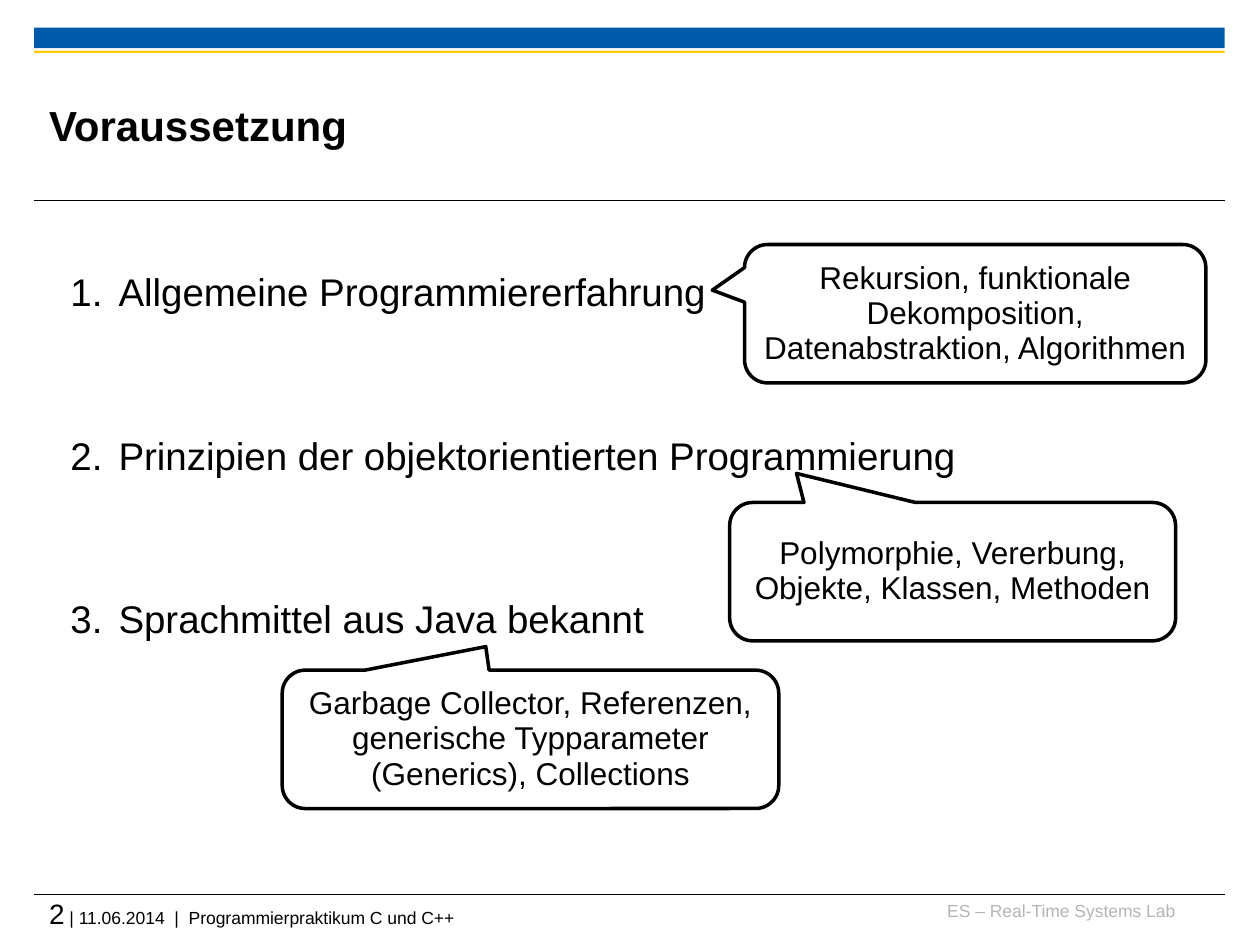
from lxml import etree
from pptx import Presentation
from pptx.dml.color import RGBColor
from pptx.enum.shapes import MSO_CONNECTOR, MSO_SHAPE
from pptx.enum.text import MSO_ANCHOR, PP_ALIGN
from pptx.oxml.ns import qn
from pptx.util import Cm, Pt

STRAIGHT = MSO_CONNECTOR.STRAIGHT
RECTANGLE = MSO_SHAPE.RECTANGLE
CALLOUT = MSO_SHAPE.ROUNDED_RECTANGULAR_CALLOUT
TOP, MIDDLE = MSO_ANCHOR.TOP, MSO_ANCHOR.MIDDLE
LEFT, CENTER, RIGHT = PP_ALIGN.LEFT, PP_ALIGN.CENTER, PP_ALIGN.RIGHT

COLORS = {"text": "000000", "paper": "FFFFFF", "blue": "005AA9",
          "yellow": "FDCA00", "muted": "B5B5B5"}
FONT = "Arial"
MARGIN, CONTENT_WIDTH = 0.69, 24
CALLOUT_HEIGHT = 2.79

TITLE = "Voraussetzung"
REQUIREMENTS = [
    "Allgemeine Programmiererfahrung",
    "Prinzipien der objektorientierten Programmierung",
    "Sprachmittel aus Java bekannt",
]
CALLOUTS = [
    ("Polymorphie, Vererbung, Objekte, Klassen, Methoden",
     14.71, 10.13, 8.99, (-0.35, -0.71)),
    ("Garbage Collector, Referenzen, generische Typparameter (Generics), Collections",
     5.69, 13.51, 10.01, (-0.09, -0.67)),
    ("Rekursion, funktionale Dekomposition, Datenabstraktion, Algorithmen",
     15.01, 4.93, 9.3, (-0.57, -0.17)),
]
LAB = "ES – Real-Time Systems Lab"
PAGE_NUMBER = "2"
FOOTER = " | 11.06.2014  |  Programmierpraktikum C und C++"
BARS = [("blue", 0.56, 0.41), ("yellow", 1.02, 0.05)]
RULES = [4.04, 18.03]


def color(name):
    return RGBColor.from_string(COLORS[name])


def style(run, size, tone="text", bold=False):
    run.font.name = FONT
    run.font.size = Pt(size)
    run.font.bold = bold
    run.font.color.rgb = color(tone)


def place(shape, *box):
    shape.left, shape.top, shape.width, shape.height = map(Cm, box)


def prepare(frame, anchor=TOP, inset=0):
    frame.word_wrap = True
    frame.vertical_anchor = anchor
    frame.margin_left = frame.margin_right = Cm(inset)
    frame.margin_top = frame.margin_bottom = Cm(inset / 2)


def add_text(slide, *box):
    frame = slide.shapes.add_textbox(*map(Cm, box)).text_frame
    prepare(frame)
    return frame


def add_bar(slide, tone, top, height):
    bar = slide.shapes.add_shape(
        RECTANGLE, Cm(MARGIN), Cm(top), Cm(CONTENT_WIDTH), Cm(height))
    bar.shadow.inherit = False
    bar.fill.solid()
    bar.fill.fore_color.rgb = color(tone)
    bar.line.fill.background()


def add_rule(slide, top):
    rule = slide.shapes.add_connector(
        STRAIGHT, Cm(MARGIN), Cm(top), Cm(MARGIN + CONTENT_WIDTH), Cm(top))
    rule.line.color.rgb = color("text")
    rule.line.width = Pt(0.6)
    etree.SubElement(rule._element.spPr, qn("a:effectLst"))


def add_requirements(slide):
    frame = add_text(slide, MARGIN, 4.11, CONTENT_WIDTH, 13.79)
    frame.margin_left, frame.margin_top = Cm(0.25), Cm(1.3)
    frame.text = "\n".join(REQUIREMENTS)
    for index, requirement in enumerate(frame.paragraphs):
        requirement.space_before = Pt(67 if index else 0)
        style(requirement.runs[0], 22)
        properties = requirement._p.get_or_add_pPr()
        properties.set("marL", str(Cm(1.45)))
        properties.set("indent", str(Cm(-0.97)))
        etree.SubElement(properties, qn("a:buFont"), typeface=FONT)
        etree.SubElement(properties, qn("a:buAutoNum"), type="arabicPeriod")


def add_callout(slide, text, left, top, width, tip):
    callout = slide.shapes.add_shape(
        CALLOUT, Cm(left), Cm(top), Cm(width), Cm(CALLOUT_HEIGHT))
    callout.shadow.inherit = False
    callout.adjustments[0], callout.adjustments[1] = tip
    callout.fill.solid()
    callout.fill.fore_color.rgb = color("paper")
    callout.line.color.rgb = color("text")
    callout.line.width = Pt(2)
    frame = callout.text_frame
    prepare(frame, MIDDLE, 0.25)
    frame.text = text
    paragraph = frame.paragraphs[0]
    paragraph.alignment = CENTER
    paragraph.line_spacing = 0.93
    style(paragraph.runs[0], 18)


def add_footer(slide):
    lab = add_text(slide, 18.69, 18.14, 5, 0.64).paragraphs[0]
    lab.text = LAB
    lab.alignment = RIGHT
    style(lab.runs[0], 10, "muted")
    footer = add_text(slide, 0.99, 18.08, 23.7, 0.84).paragraphs[0]
    for text, size in [(PAGE_NUMBER, 16), (FOOTER, 10)]:
        run = footer.add_run()
        run.text = text
        style(run, size)


def main():
    deck = Presentation()
    deck.slide_width, deck.slide_height = Cm(25.4), Cm(19.05)
    slide = deck.slides.add_slide(deck.slide_layouts[5])
    for bar in BARS:
        add_bar(slide, *bar)
    for top in RULES:
        add_rule(slide, top)
    add_footer(slide)

    title = slide.shapes.title
    place(title, 0.99, 1.35, 19.1, 2.34)
    prepare(title.text_frame, MIDDLE)
    title.text_frame.text = TITLE
    heading = title.text_frame.paragraphs[0]
    heading.alignment = LEFT
    style(heading.runs[0], 24, bold=True)

    add_requirements(slide)
    for callout in CALLOUTS:
        add_callout(slide, *callout)
    deck.save("out.pptx")


if __name__ == "__main__":
    main()
